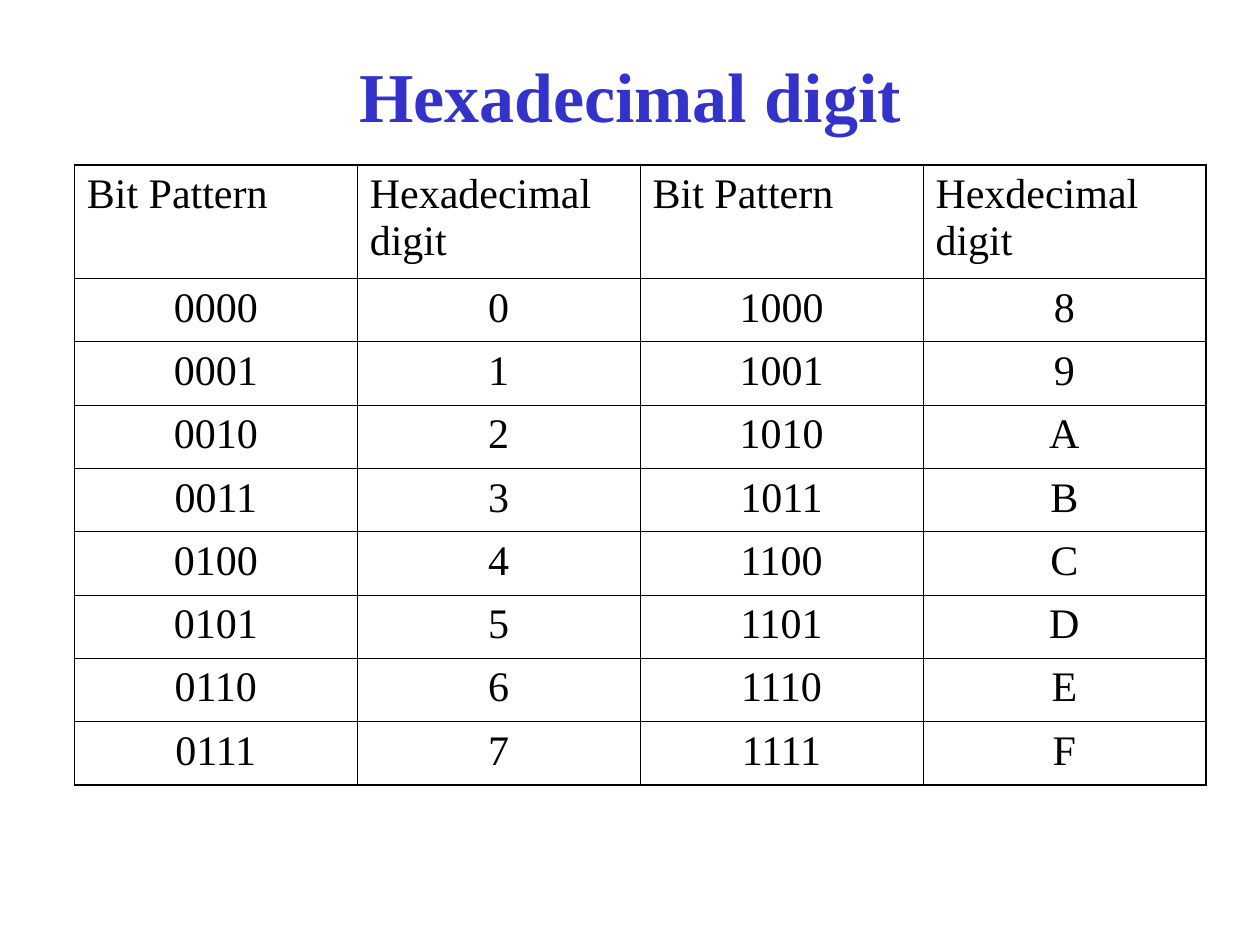
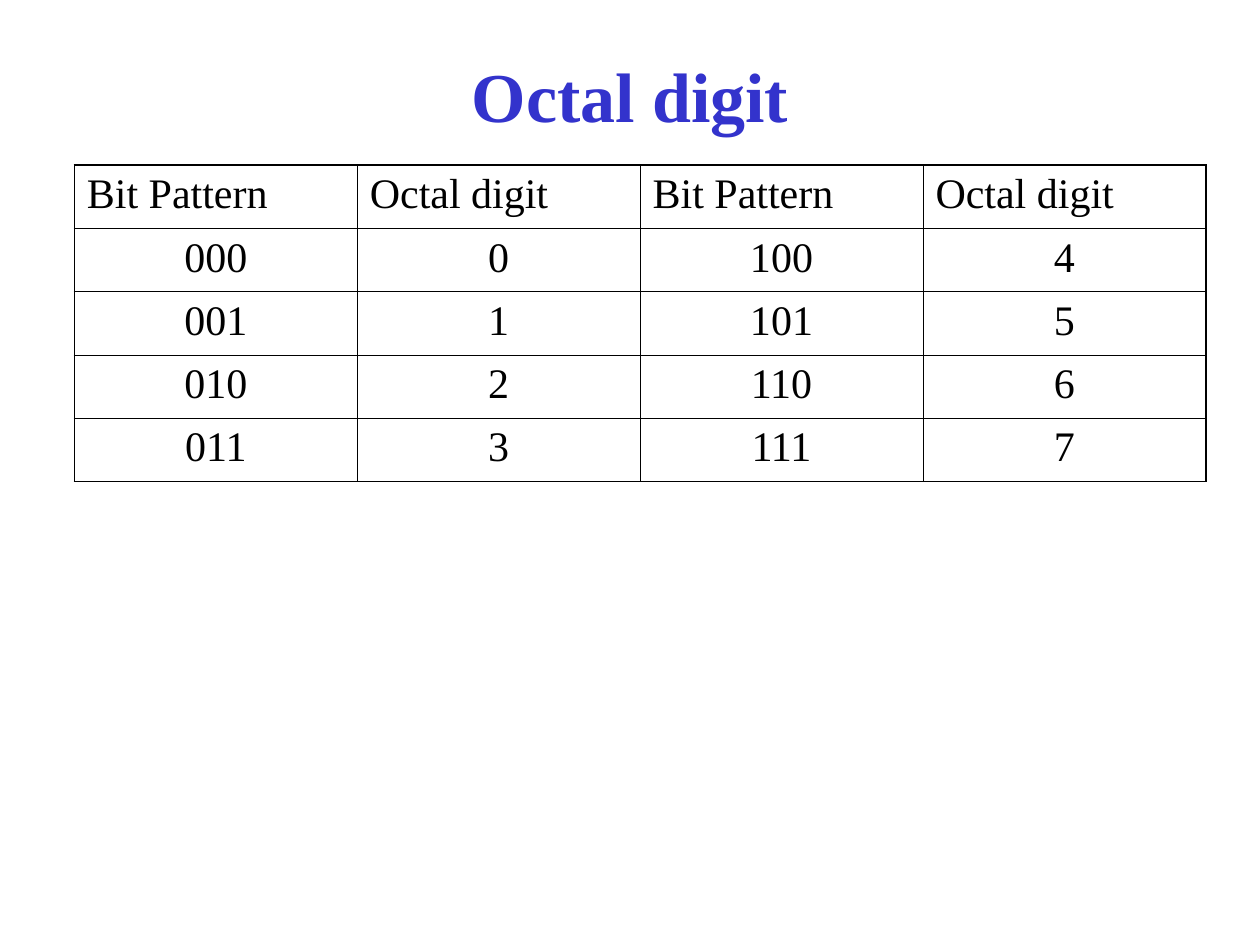
from lxml import etree
from pptx import Presentation
from pptx.dml.color import RGBColor
from pptx.enum.text import MSO_ANCHOR, PP_ALIGN
from pptx.oxml.ns import qn
from pptx.util import Inches, Pt

CENTER, LEFT = PP_ALIGN.CENTER, PP_ALIGN.LEFT
TOP = MSO_ANCHOR.TOP

# Shared style
FONT = "Times New Roman"
BLUE, BLACK, WHITE = "3333CC", "000000", "FFFFFF"
OUTER_LINE, INNER_LINE = 1.08, 0.45
TITLE_BOX = (0.5, 0.3, 9, 1.25)
TABLE_LEFT, TABLE_TOP, TABLE_WIDTH = 0.59, 1.31, 8.98
ROW_HEIGHT = 4.02 / 8


def color(hex_string):
    return RGBColor.from_string(hex_string)


def format_paragraph(p, size, hex_string, align, bold=False):
    p.alignment = align
    for r in p.runs:
        r.font.name = FONT
        r.font.size = Pt(size)
        r.font.bold = bold
        r.font.color.rgb = color(hex_string)


def add_title(s, text, box):
    tf = s.shapes.add_textbox(*map(Inches, box)).text_frame
    tf.word_wrap = True
    tf.vertical_anchor = TOP
    tf.margin_top = Inches(0.12)
    tf.text = text
    format_paragraph(tf.paragraphs[0], 40, BLUE, CENTER, bold=True)


def set_borders(cell, widths):
    tc_pr = cell._tc.get_or_add_tcPr()
    for side, width in widths.items():
        ln = etree.SubElement(tc_pr, qn(f"a:ln{side}"), w=str(Pt(width)))
        fill = etree.SubElement(ln, qn("a:solidFill"))
        etree.SubElement(fill, qn("a:srgbClr"), val=BLACK)


def add_digit_table(s, rows, left, top, width, header_height):
    n_rows, n_cols = len(rows), len(rows[0])
    height = header_height + (n_rows - 1) * ROW_HEIGHT
    table = s.shapes.add_table(n_rows, n_cols, Inches(left), Inches(top),
                               Inches(width), Inches(height)).table
    table.first_row = table.horz_banding = False
    for col in table.columns:
        col.width = Inches(width / n_cols)

    for i, values in enumerate(rows):
        table.rows[i].height = Inches(ROW_HEIGHT if i else header_height)
        for j, value in enumerate(values):
            cell = table.cell(i, j)
            cell.text = value
            format_paragraph(cell.text_frame.paragraphs[0], 24, BLACK,
                             CENTER if i else LEFT)
            # Heavier lines only around the outside
            on_edge = {"L": j == 0, "R": j == n_cols - 1,
                       "T": i == 0, "B": i == n_rows - 1}
            set_borders(cell, {side: OUTER_LINE if edge else INNER_LINE
                               for side, edge in on_edge.items()})
            cell.fill.background()


def digit_rows(bits):
    """Pair each digit of the lower half with its upper-half partner."""
    half = 2 ** (bits - 1)
    return [[text for n in (low, low + half)
             for text in (f"{n:0{bits}b}", f"{n:X}")]
            for low in range(half)]


def digit_slide(prs, title, headers, bits, header_height):
    s = prs.slides.add_slide(prs.slide_layouts[6])
    s.background.fill.solid()
    s.background.fill.fore_color.rgb = color(WHITE)
    add_digit_table(s, [headers] + digit_rows(bits),
                    TABLE_LEFT, TABLE_TOP, TABLE_WIDTH, header_height)
    add_title(s, title, TITLE_BOX)


def main():
    prs = Presentation()
    prs.slide_width, prs.slide_height = Inches(10), Inches(7.5)
    digit_slide(prs, "Hexadecimal digit",
                ["Bit Pattern", "Hexadecimal digit",
                 "Bit Pattern", "Hexdecimal digit"], 4, 0.9)
    digit_slide(prs, "Octal digit",
                ["Bit Pattern", "Octal digit"] * 2, 3, ROW_HEIGHT)
    prs.save("out.pptx")


if __name__ == "__main__":
    main()
